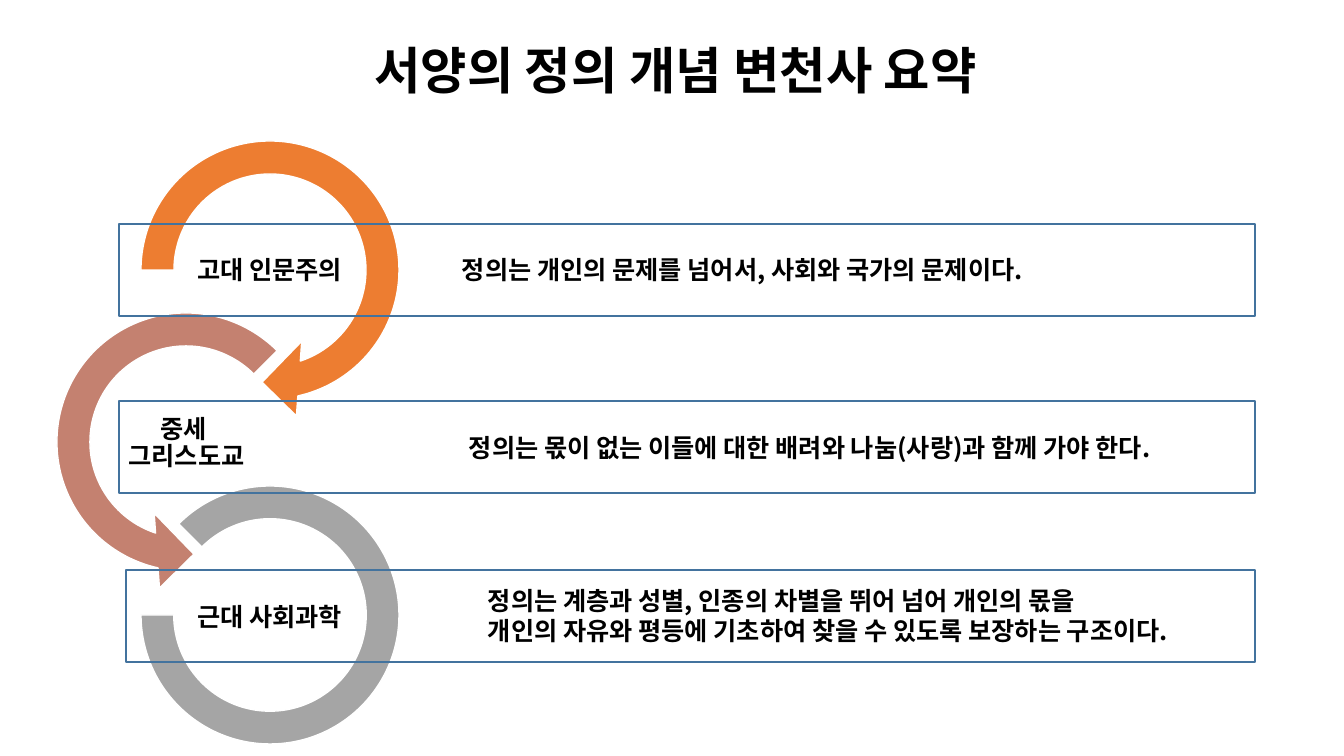
import pptx
import pptx.util
import pptx.dml.color
import pptx.enum.shapes
import pptx.enum.text
import pptx.oxml.ns
import lxml.etree

SHAPES = pptx.enum.shapes.MSO_SHAPE
ALIGN = pptx.enum.text.PP_ALIGN
ANCHOR = pptx.enum.text.MSO_ANCHOR
COLOR = pptx.dml.color.RGBColor
BLACK = COLOR(0x00, 0x00, 0x00)
WHITE = COLOR(0xFF, 0xFF, 0xFF)
ORANGE = COLOR(0xED, 0x7D, 0x31)
ROSE = COLOR(0xC4, 0x81, 0x70)
GRAY = COLOR(0xA5, 0xA5, 0xA5)
BLUE = COLOR(0x43, 0x73, 0x9E)
FONT = "Noto Sans CJK KR"
SCALE = 914400 / 100.8

TITLE = "서양의 정의 개념 변천사 요약"
TITLE_AREA = (96, 0, 1159, 146)
RINGS = [
    (SHAPES.CIRCULAR_ARROW, (120, 120, 300, 300), ORANGE,
     (0.11, 11.42, 45, 108, 0.125)),
    (SHAPES.LEFT_CIRCULAR_ARROW, (36, 292, 300, 300), ROSE,
     (0.11, 11.42, 63, 189, 0.125)),
    (SHAPES.BLOCK_ARC, (141, 486, 258, 258), GRAY, (135, 108, 0.127)),
]
LABELS = [
    ("고대 인문주의", 186, 229),
    ("중세 \v그리스도교", 103, 402),
    ("근대 사회과학", 186, 576),
]
LABEL_SIZE = (167, 84)
FRAMES = [(119, 224), (119, 401), (126, 570)]
FRAME_RIGHT, FRAME_HEIGHT = 1255, 92
STATEMENTS = [
    (["정의는 개인의 문제를 넘어서, 사회와 국가의 문제이다."], (452, 249, 648, 40)),
    (["정의는 몫이 없는 이들에 대한 배려와 나눔(사랑)과 함께 가야 한다."],
     (459, 427, 788, 40)),
    (["정의는 계층과 성별, 인종의 차별을 뛰어 넘어 개인의 몫을",
      "개인의 자유와 평등에 기초하여 찾을 수 있도록 보장하는 구조이다."],
     (478, 580, 795, 72)),
]


def emu(*pixels):
    return [round(value * SCALE) for value in pixels]


def apply(target, values):
    for name, value in values.items():
        setattr(target, name, value)


def write(box, lines, size, para_format, frame_format):
    frame = box.text_frame
    apply(frame, {"word_wrap": True, **frame_format})
    for index, line in enumerate(lines):
        para = frame.add_paragraph() if index else frame.paragraphs[0]
        para.text = line
        apply(para, para_format)
        for span in para.runs:
            apply(span.font, {"size": pptx.util.Pt(size), "bold": True, "name": FONT})
            span.font.color.rgb = BLACK
            east_asian = lxml.etree.SubElement(
                span.font._element, pptx.oxml.ns.qn("a:ea"))
            east_asian.set("typeface", FONT)


def add_outline(kind, area, line_color, fill_color=None):
    shape = slide.shapes.add_shape(kind, *emu(*area))
    shape.shadow.inherit = False
    if fill_color is None:
        shape.fill.background()
    else:
        shape.fill.solid()
        shape.fill.fore_color.rgb = fill_color
    shape.line.color.rgb = line_color
    shape.line.width = pptx.util.Pt(1)
    return shape


deck = pptx.Presentation()
deck.slide_width, deck.slide_height = emu(1344, 756)
slide = deck.slides.add_slide(deck.slide_layouts[5])
CENTERED = {"alignment": ALIGN.CENTER, "line_spacing": 0.9}
MIDDLE = {"vertical_anchor": ANCHOR.MIDDLE}

title = slide.shapes.title
apply(title, dict(zip(("left", "top", "width", "height"), emu(*TITLE_AREA))))
write(title, [TITLE], 36, CENTERED, MIDDLE)

margin = emu(1)[0]
label_format = {**MIDDLE, **{f"margin_{side}": margin
                             for side in ("left", "top", "right", "bottom")}}
for (kind, area, color, adjustments), (label, left, top) in zip(RINGS, LABELS):
    ring = add_outline(kind, area, WHITE, color)
    for index, value in enumerate(adjustments):
        ring.adjustments[index] = value
    box = slide.shapes.add_textbox(*emu(left, top, *LABEL_SIZE))
    write(box, [label], 18, CENTERED, label_format)

for (left, top), (lines, area) in zip(FRAMES, STATEMENTS):
    add_outline(SHAPES.RECTANGLE, (left, top, FRAME_RIGHT - left, FRAME_HEIGHT), BLUE)
    box = slide.shapes.add_textbox(*emu(*area))
    write(box, lines, 18, {"alignment": ALIGN.LEFT},
          {"auto_size": pptx.enum.text.MSO_AUTO_SIZE.SHAPE_TO_FIT_TEXT})

deck.save("out.pptx")
